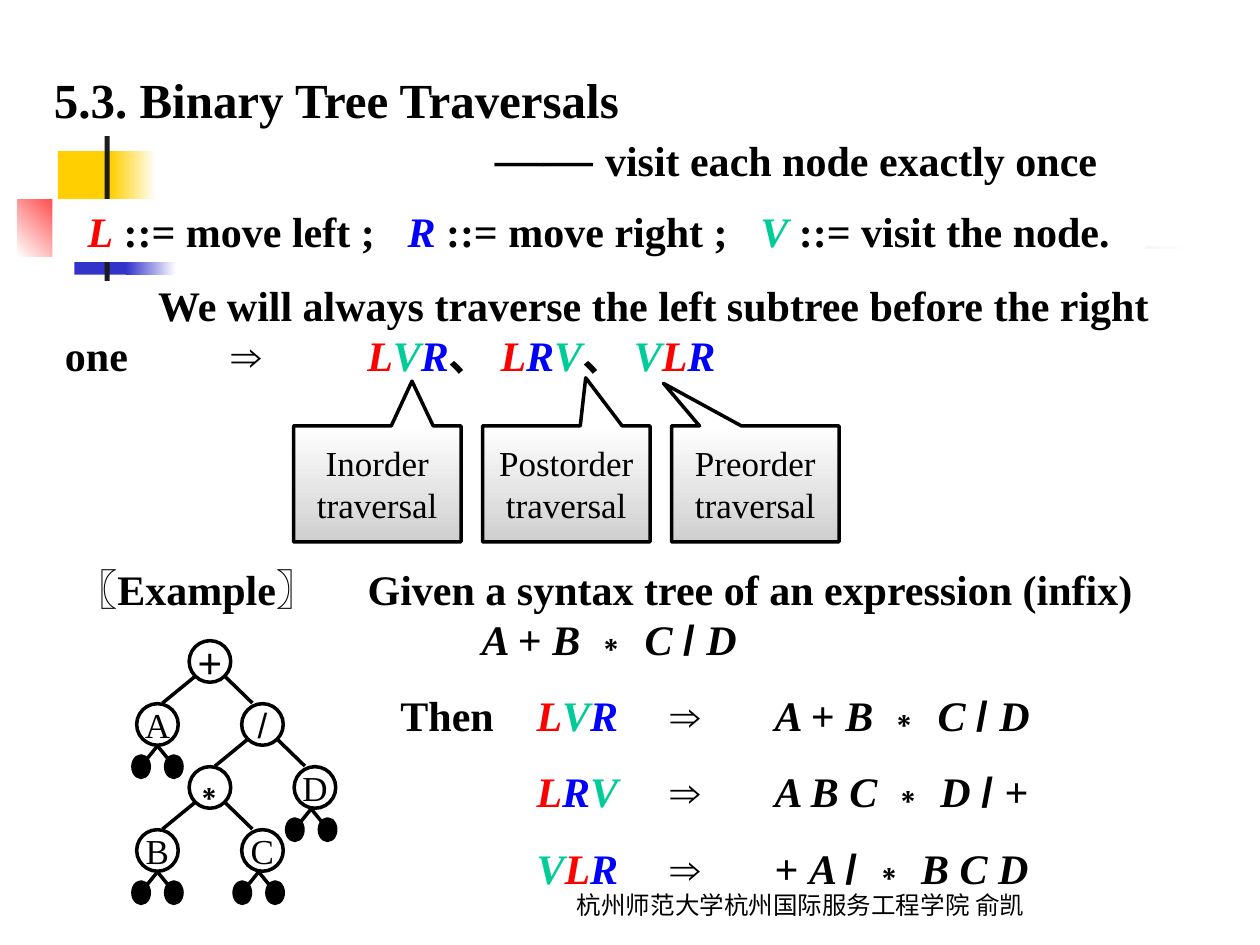
import pptx
import pptx.util
import pptx.dml.color
import pptx.enum.shapes
import pptx.enum.text
import pptx.oxml
import pptx.oxml.ns

inch, point = pptx.util.Inches, pptx.util.Pt
color = pptx.dml.color.RGBColor.from_string
shapes = pptx.enum.shapes.MSO_SHAPE
align = pptx.enum.text.PP_ALIGN
anchor = pptx.enum.text.MSO_ANCHOR

serif, sans = "Times New Roman", "Arial"
theme = {
    "black": "000000", "white": "FFFFFF", "ink": "1C1C1C", "gray": "CFCFCF",
    "yellow": "FFCF01", "blue": "3333CC", "red": "FF0000", "line": 2,
    # style: font, size, color, bold, italic
    "styles": {
        "title": (serif, 28, "000000", True, False),
        "bold": (serif, 24, "000000", True, False),
        "italic": (serif, 24, "000000", True, True),
        "symbol": (sans, 24, "000000", True, False),
        "L": (serif, 24, "FF0000", True, True),
        "R": (serif, 24, "0000FF", True, True),
        "V": (serif, 24, "00CC99", True, True),
        "label": (serif, 20, "000000", False, False),
        "slash": (sans, 20, "000000", False, False),
        "operator": (sans, 24, "000000", False, False),
        "footer": ("Cabin", 14, "000000", False, False),
    },
}

deck = pptx.Presentation()
deck.slide_width, deck.slide_height = inch(10), inch(7.5)
page = deck.slides.add_slide(deck.slide_layouts[6])
column, row = 10 / 24, 7.5 / 15


def add_box(kind, left, top, width, height, fill=None, angle=0, line=None):
    """Add a shape; a pair of fill colors makes a gradient, clockwise angle."""
    box = page.shapes.add_shape(kind, inch(left), inch(top), inch(width), inch(height))
    box.shadow.inherit = False
    if isinstance(fill, tuple):
        box.fill.gradient()
        box.fill.gradient_angle = (360 - angle) % 360
        for stop, name, position in zip(box.fill.gradient_stops, fill, (0, 1)):
            stop.color.rgb = color(theme[name])
            stop.position = position
    elif fill:
        box.fill.solid()
        box.fill.fore_color.rgb = color(theme[fill])
    else:
        box.fill.background()
    if line:
        box.line.color.rgb = color(theme["black"])
        box.line.width = point(line)
    else:
        box.line.fill.background()
    return box


def write(box, paragraphs, alignment=align.LEFT, tabs=(), gap=0,
          wrap=True, middle=False):
    """Fill a box with paragraphs, each a list of (text, style) runs."""
    frame = box.text_frame
    frame.word_wrap = wrap
    frame.vertical_anchor = anchor.MIDDLE if middle else anchor.TOP
    for index, runs in enumerate(paragraphs):
        para = frame.add_paragraph() if index else frame.paragraphs[0]
        para.alignment = alignment
        if index and gap:
            para.space_before = point(gap)
        if tabs:
            stops = pptx.oxml.parse_xml(
                "<a:tabLst %s/>" % pptx.oxml.ns.nsdecls("a"))
            for stop in tabs:
                tab = stops.makeelement(pptx.oxml.ns.qn("a:tab"),
                                        {"pos": str(inch(stop)), "algn": "l"})
                stops.append(tab)
            para._p.get_or_add_pPr().append(stops)
        for text, style in runs:
            span = para.add_run()
            span.text = text
            font, size, shade, bold, italic = theme["styles"][style]
            span.font.name, span.font.size = font, point(size)
            span.font.bold, span.font.italic = bold, italic
            span.font.color.rgb = color(shade)
    return frame


# Corner ornament
for left, top, width, height, fill in (
        (0.46, 1.2, 0.48, 0.52, "yellow"),
        (0.88, 1.2, 0.36, 0.52, ("yellow", "white")),
        (0.59, 1.66, 0.46, 0.52, "blue"),
        (1, 1.66, 0.4, 0.52, ("blue", "white"))):
    add_box(shapes.RECTANGLE, left, top, width, height, fill)
add_box(shapes.RECTANGLE, 0.14, 1.58, 0.61, 0.46, ("white", "red"), 315)
add_box(shapes.RECTANGLE, 0.83, 1.08, 0.04, 1.15, "ink")
add_box(shapes.RECTANGLE, 0.48, 1.95, 9, 0.03, ("ink", "white"))

# Footer
footer = write(add_box(shapes.RECTANGLE, 4.06, 7.02, 4.59, 0.33),
               [[("杭州师范大学杭州国际服务工程学院 俞凯", "footer")]], align.CENTER)
footer.vertical_anchor = anchor.BOTTOM
footer.paragraphs[0].line_spacing = 0.96

# Title and subtitle
write(add_box(shapes.RECTANGLE, 0.33, 0.5, 9.08, 1.04), [
    [("5.3. Binary Tree Traversals", "title")],
    [("\t—— ", "title"), ("visit each node exactly once", "bold")]], tabs=[3.5])

# Moves and the three traversal orders
orders = {name: [(letter, letter) for letter in name] for name in ("LVR", "LRV", "VLR")}
write(add_box(shapes.RECTANGLE, column, 1.58, 8.67, row, "white"), [[
    ("\tL", "L"), (" ::= move left ;\t", "bold"),
    ("R ", "R"), ("::= move right ;\t", "bold"),
    ("V", "V"), (" ::= visit the node.", "bold")]], tabs=[0.18, 2.72, 5.52])
write(add_box(shapes.RECTANGLE, column, 2.17, 9.08, 0.9), [[
    ("\tWe will always traverse the left subtree before the right one\t\t", "bold"),
    ("⇒\t", "symbol"), *orders["LVR"], ("、 ", "bold"),
    *orders["LRV"], ("、 ", "bold"), *orders["VLR"]]], tabs=[0.74, 1.32, 2.4])

# Callouts naming the orders
for index, (name, tip_x, tip_y) in enumerate((
        ("Inorder", 0.207, -0.886), ("Postorder", 0.116, -0.915),
        ("Preorder", -0.548, -0.867))):
    callout = add_box(shapes.RECTANGULAR_CALLOUT, 2.33 + 1.5 * index, 3.38, 1.33, 0.92,
                      ("white", "gray"), 90, theme["line"])
    callout.adjustments[0], callout.adjustments[1] = tip_x, tip_y
    write(callout, [[(name, "label")], [("traversal", "label")]], align.CENTER,
          wrap=False, middle=True)

# Example
infix = [("A ", "italic"), ("+ ", "bold"), ("B ", "italic"), ("∗ ", "symbol"),
         ("C ", "italic"), ("/ ", "symbol"), ("D", "italic")]
example = write(add_box(shapes.RECTANGLE, 0.5, 4.42, 8.67, 0.9), [
    [("〖Example〗\tGiven a syntax tree of an expression (infix)", "bold")], infix],
    tabs=[2.32])
example.paragraphs[1].alignment = align.CENTER

# Syntax tree: symbol, style, grid column, grid row, side of parent
edges = []
for symbol, style, across, down, side in (
        ("+", "operator", 4, 10.5, 0), ("A", "label", 3, 11.5, -1),
        ("/", "slash", 5, 11.5, 1), ("∗", "operator", 4, 12.5, -1),
        ("D", "label", 6, 12.5, 1), ("B", "label", 3, 13.5, -1),
        ("C", "label", 5, 13.5, 1)):
    x, y = across * column, down * row
    node = add_box(shapes.OVAL, x - 0.165, y - 0.165, 0.33, 0.33, line=theme["line"])
    write(node, [[(symbol, style)]], align.CENTER, wrap=False, middle=True)
    if side:
        edges.append((x - side * column + side * 0.12, y - row + 0.12,
                      x + (0.04 if side < 0 else -0.08), y - 0.17))
    if style == "label":
        middle = x - (0.03 if side > 0 else 0)
        for shift in (-0.13, 0.13):
            edges.append((middle, y + 0.17, middle + shift, y + 0.33))
            add_box(shapes.OVAL, middle + shift - 0.065, y + 0.25, 0.13, 0.17,
                    "black", line=theme["line"])
for edge in edges:
    link = page.shapes.add_connector(pptx.enum.shapes.MSO_CONNECTOR.STRAIGHT,
                                     *[inch(value) for value in edge])
    link.line.color.rgb = color(theme["black"])
    link.line.width = point(theme["line"])
    link._element.spPr.append(
        pptx.oxml.parse_xml("<a:effectLst %s/>" % pptx.oxml.ns.nsdecls("a")))

# Results of each order
arrow = ("\t⇒\t", "symbol")
write(add_box(shapes.RECTANGLE, 3.08, 5.42, 6.08, 1.72), [
    [("Then\t", "bold"), *orders["LVR"], arrow, *infix],
    [("\t", "bold"), *orders["LRV"], arrow, ("A B C ", "italic"), ("∗", "symbol"),
     (" D ", "italic"), ("/ ", "symbol"), ("+", "bold")],
    [("\t", "bold"), *orders["VLR"], arrow, ("+ ", "bold"), ("A ", "italic"),
     ("/ ∗", "symbol"), (" B C D", "italic")]], tabs=[1.08, 2.14, 2.97], gap=15)

deck.save("out.pptx")
